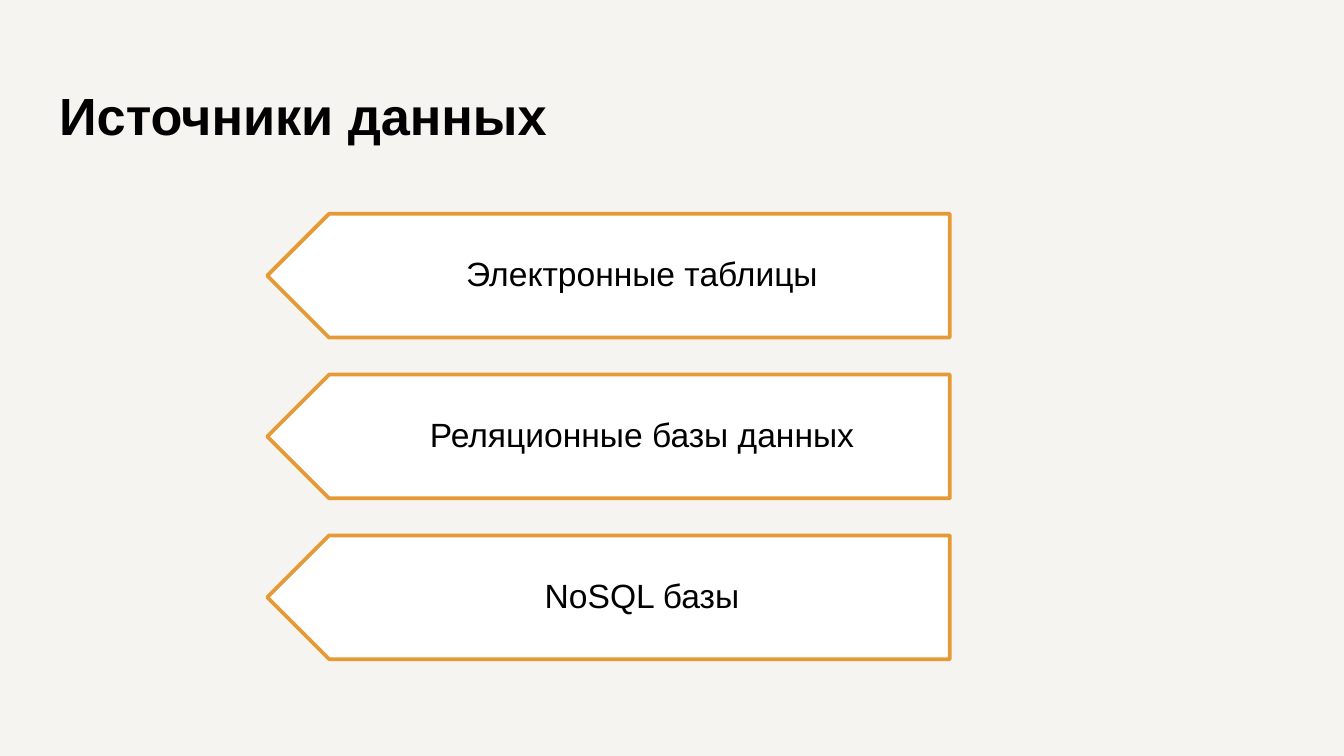
from dataclasses import dataclass

from pptx import Presentation
from pptx.dml.color import RGBColor
from pptx.enum.shapes import MSO_SHAPE as Preset
from pptx.enum.text import MSO_ANCHOR as Anchor, PP_ALIGN as Align
from pptx.slide import Slide
from pptx.util import Cm, Pt

COLOURS = {
    "background": "F5F4F0",
    "text": "000000",
    "arrow": "FFFFFF",
    "outline": "E69A36",
}
FONT = "Arial"
FIRST_TOP, ROW_STEP = 4.04, 3.04
SOURCES = ["Электронные таблицы", "Реляционные базы данных", "NoSQL базы"]


@dataclass(frozen=True)
class Area:
    """A rectangle in centimetres."""
    left: float
    top: float
    width: float
    height: float

    def lengths(self) -> list[Cm]:
        return [Cm(side) for side in (self.left, self.top, self.width, self.height)]


@dataclass(frozen=True)
class TextStyle:
    """Margins are left, top, right and bottom in centimetres."""
    size: int
    margins: tuple[float, float, float, float]
    bold: bool = False
    align: Align = Align.LEFT
    anchor: Anchor = Anchor.TOP
    line_spacing: float = 1.0


TITLE_STYLE = TextStyle(28, (0.25, 0.34, 0.25, 0.25), bold=True)
SOURCE_STYLE = TextStyle(18, (1.04, 0.18, 0.36, 0.18), align=Align.CENTER,
                         anchor=Anchor.MIDDLE, line_spacing=0.9)


def colour(name: str) -> RGBColor:
    return RGBColor.from_string(COLOURS[name])


def add_text(page: Slide, text: str, area: Area, style: TextStyle) -> None:
    box = page.shapes.add_textbox(*area.lengths())
    frame = box.text_frame
    frame.word_wrap = True
    frame.vertical_anchor = style.anchor
    (frame.margin_left, frame.margin_top,
     frame.margin_right, frame.margin_bottom) = map(Cm, style.margins)
    para = frame.paragraphs[0]
    para.text = text
    para.alignment = style.align
    para.line_spacing = style.line_spacing
    para.font.name = FONT
    para.font.size = Pt(style.size)
    para.font.bold = style.bold
    para.font.color.rgb = colour("text")


def add_source(page: Slide, text: str, top: float) -> None:
    """Draw an arrow pointing left with its label.

    The label is a separate box, since the arrow is turned upside down.
    """
    arrow = page.shapes.add_shape(Preset.PENTAGON, *Area(5.05, top, 12.9, 2.34).lengths())
    arrow.rotation = 180
    arrow.shadow.inherit = False
    arrow.fill.solid()
    arrow.fill.fore_color.rgb = colour("arrow")
    arrow.line.color.rgb = colour("outline")
    arrow.line.width = Pt(2)
    add_text(page, text, Area(5.64, top, 12.31, 2.34), SOURCE_STYLE)


def main() -> None:
    deck = Presentation()
    deck.slide_width, deck.slide_height = Cm(25.4), Cm(14.29)
    page = deck.slides.add_slide(deck.slide_layouts[6])
    page.background.fill.solid()
    page.background.fill.fore_color.rgb = colour("background")

    add_text(page, "Источники данных", Area(0.87, 1.24, 23.67, 1.6), TITLE_STYLE)
    for row, source in enumerate(SOURCES):
        add_source(page, source, FIRST_TOP + row * ROW_STEP)

    deck.save("out.pptx")


if __name__ == "__main__":
    main()
